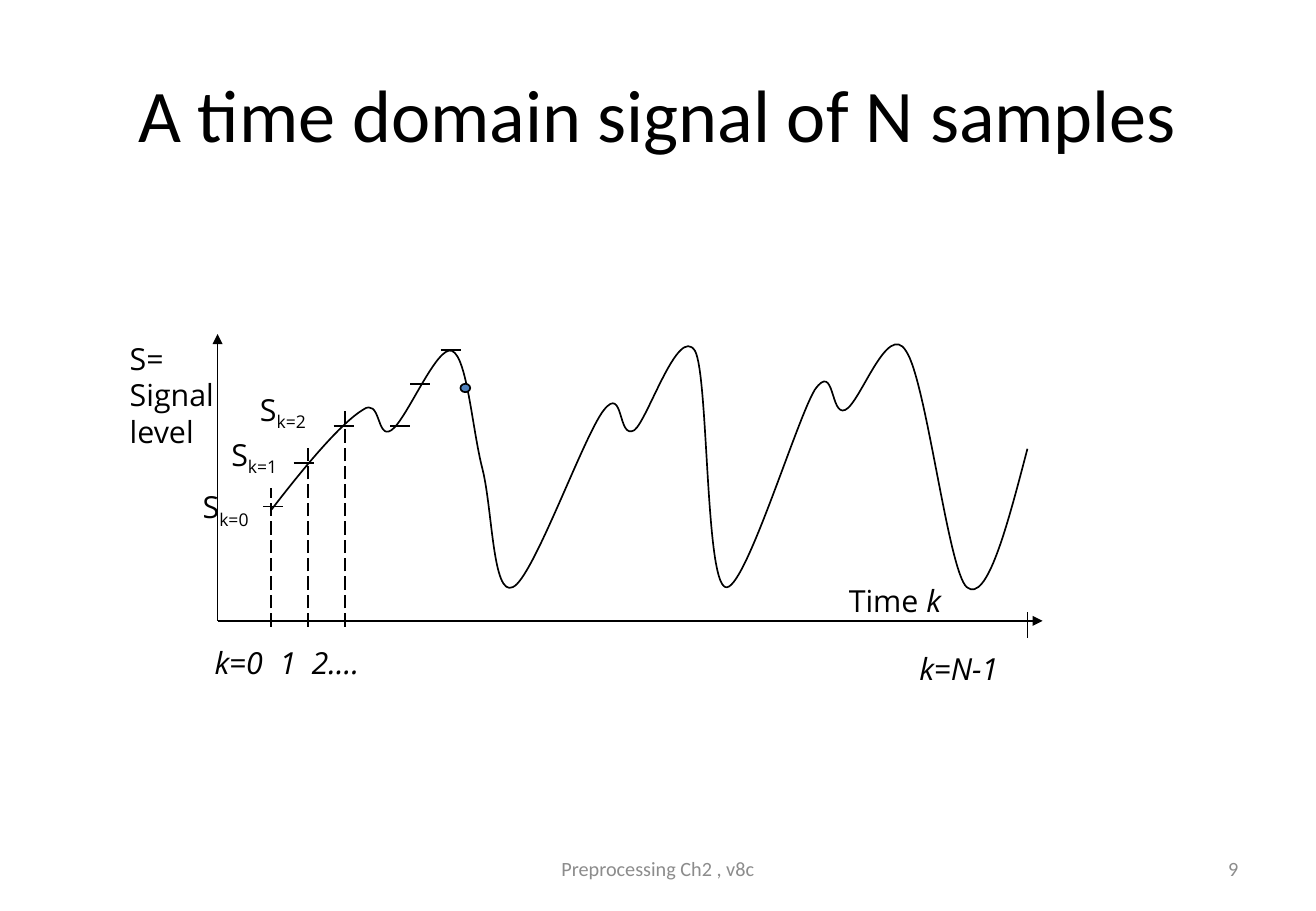
import pptx
import pptx.util
import pptx.dml.color
import pptx.enum.dml
import pptx.enum.shapes
import pptx.enum.text
import pptx.oxml
import pptx.oxml.ns

Pt = pptx.util.Pt
Align = pptx.enum.text.PP_ALIGN
Anchor = pptx.enum.text.MSO_ANCHOR
qn = pptx.oxml.ns.qn
BLACK, GREY, BLUE = "000000", "8C8C8C", "4F81BD"

SIGNAL_START = (31.6, 103.7)
SIGNAL_CURVES = [
    ((52.4, 78.5), (73.3, 52.6), (85.6, 44.6)),
    ((97.1, 37.4), (94.2, 62.6), (102.8, 56.9)),
    ((112.2, 51.1), (130.2, 5.8), (138.8, 10.1)),
    ((148.2, 13.7), (151.1, 56.9), (156.8, 79.9)),
    ((163.3, 103.7), (163.3, 156.2), (174.8, 150.5)),
    ((187.1, 144.7), (216.6, 60.5), (228.8, 44.6)),
    ((241.1, 29.5), (237.5, 62.6), (246.8, 56.9)),
    ((255.5, 51.1), (273.5, -5.8), (282.8, 10.1)),
    ((291.5, 25.2), (288.6, 146.2), (300.8, 150.5)),
    ((312.4, 154.1), (342.6, 51.1), (354.1, 33.1)),
    ((366.4, 15.8), (363.5, 49), (372.1, 44.6)),
    ((381.5, 41), (396.6, -7.9), (408.1, 10.1)),
    ((420.4, 27.4), (432.6, 140.4), (444.1, 150.5)),
    ((456.4, 159.8), (467.9, 114.5), (480.1, 68.4)),
]
LEVEL_MARKS = [(33, 102.2), (51, 76.3), (74.8, 54.7),
               (108.2, 54.7), (120.1, 29.5), (138.1, 9.4)]
SAMPLES = [(91.4, 87.8), (67.7, 56.9), (44.6, 30.2)]


def color(value):
    return pptx.dml.color.RGBColor.from_string(value)


def add_text(page, box, text, size=18, font="Open Sans", fill=BLACK, align=Align.LEFT,
             anchor=Anchor.TOP, italic=False, tail="", tail_italic=False,
             subscript=False, tabs=()):
    shape = page.shapes.add_textbox(*map(Pt, box))
    frame = shape.text_frame
    frame.word_wrap = True
    frame.vertical_anchor = anchor
    for index, line in enumerate(text.split("\n")):
        para = frame.add_paragraph() if index else frame.paragraphs[0]
        para.alignment = align
        if tabs:
            stops = pptx.oxml.ns.qn("a:tabLst")
            tab_list = para._p.get_or_add_pPr().makeelement(stops, {})
            para._p.get_or_add_pPr().append(tab_list)
            for stop in tabs:
                tab_list.append(tab_list.makeelement(
                    qn("a:tab"), {"pos": str(Pt(stop)), "algn": "l"}))
        for words, slanted in ((line, italic), (tail, tail_italic)):
            if not words:
                continue
            span = para.add_run()
            span.text = words
            span.font.size = Pt(size)
            span.font.name = font
            span.font.italic = slanted
            span.font.color.rgb = color(fill)
    if subscript:
        span._r.get_or_add_rPr().set("baseline", "-25000")
    return shape


def add_line(page, box, start, end, arrow=False, dashed=False):
    left, top = box[:2]
    line = page.shapes.add_connector(
        pptx.enum.shapes.MSO_CONNECTOR.STRAIGHT,
        Pt(left + start[0]), Pt(top + start[1]), Pt(left + end[0]), Pt(top + end[1]))
    line.line.color.rgb = color(BLACK)
    line.line.width = Pt(1)
    if dashed:
        line.line.dash_style = pptx.enum.dml.MSO_LINE.LONG_DASH
    properties = line._element.spPr
    if arrow:
        outline = line.line._get_or_add_ln()
        outline.append(outline.makeelement(qn("a:tailEnd"), {"type": "triangle"}))
    properties.append(properties.makeelement(qn("a:effectLst"), {}))


def add_signal(page, box):
    points = [(box[0] + x, box[1] + y)
              for x, y in [SIGNAL_START] + [point for curve in SIGNAL_CURVES for point in curve]]
    builder = page.shapes.build_freeform(*points[0], scale=Pt(1))
    builder.add_line_segments(points[1:], close=False)
    signal = builder.convert_to_shape()
    segments = list(signal._element.iter(qn("a:lnTo")))
    for first in range(0, len(segments), 3):
        bezier = segments[first].makeelement(qn("a:cubicBezTo"), {})
        segments[first].addprevious(bezier)
        for segment in segments[first:first + 3]:
            bezier.append(segment[0])
            segment.getparent().remove(segment)
    signal.fill.background()
    signal.line.color.rgb = color(BLACK)
    signal.line.width = Pt(1)
    signal.shadow.inherit = False


def add_plot(page, box):
    left, top, width, height = box
    add_line(page, box, (0, height), (width, height), arrow=True)
    add_line(page, box, (0, height), (0, 0), arrow=True)
    add_signal(page, box)

    for index, (line_top, label_top) in enumerate(SAMPLES):
        x = 31.6 + 22 * index
        add_line(page, box, (x, height + 3.5), (x, line_top), dashed=True)
        add_text(page, (left - 16 + 17 * index, top + label_top, 60, 29),
                 "S", tail=f"k={index}", subscript=True)
    for x, y in LEVEL_MARKS:
        add_line(page, box, (x - 6, y), (x + 6, y))
    add_line(page, box, (480.1, height + 10), (480.1, height - 5))

    dot = page.shapes.add_shape(pptx.enum.shapes.MSO_SHAPE.OVAL,
                                Pt(left + 143.9), Pt(top + 29.5), Pt(5.8), Pt(5))
    dot.fill.solid()
    dot.fill.fore_color.rgb = color(BLUE)
    dot.line.color.rgb = color(BLACK)
    dot.line.width = Pt(1)
    dot.shadow.inherit = False

    add_text(page, (left - 59.2, top, 206, 73), "S=\nSignal\nlevel")
    add_text(page, (left + 367, top + 143.3, 90, 29), "Time ", tail="k", tail_italic=True)
    add_text(page, (left - 8.8, top + 180, 122, 29), "k=0\t1\t2….", italic=True,
             tabs=(38.5, 57.5))
    add_text(page, (left + 408.8, top + 183.6, 84, 29), "k=N-1", italic=True)


def add_title(page, box):
    add_text(page, box, "A time domain signal of N samples", size=44, font="Calibri",
             align=Align.CENTER, anchor=Anchor.MIDDLE)


def add_footer(page, box):
    left, top, width, height = box
    style = dict(size=12, font="Calibri", fill=GREY, anchor=Anchor.MIDDLE)
    add_text(page, (left + 227.5, top, 247, height), "Preprocessing Ch2 , v8c",
             align=Align.CENTER, **style)
    add_text(page, (left + width - 182, top, 182, height), "9", align=Align.RIGHT, **style)


deck = pptx.Presentation()
deck.slide_width, deck.slide_height = Pt(780), Pt(540)
page = deck.slides.add_slide(deck.slide_layouts[6])
add_title(page, (39, 21.6, 702, 90))
add_plot(page, (129, 198, 489, 170))
add_footer(page, (39, 500.5, 702, 28.8))
deck.save("out.pptx")
